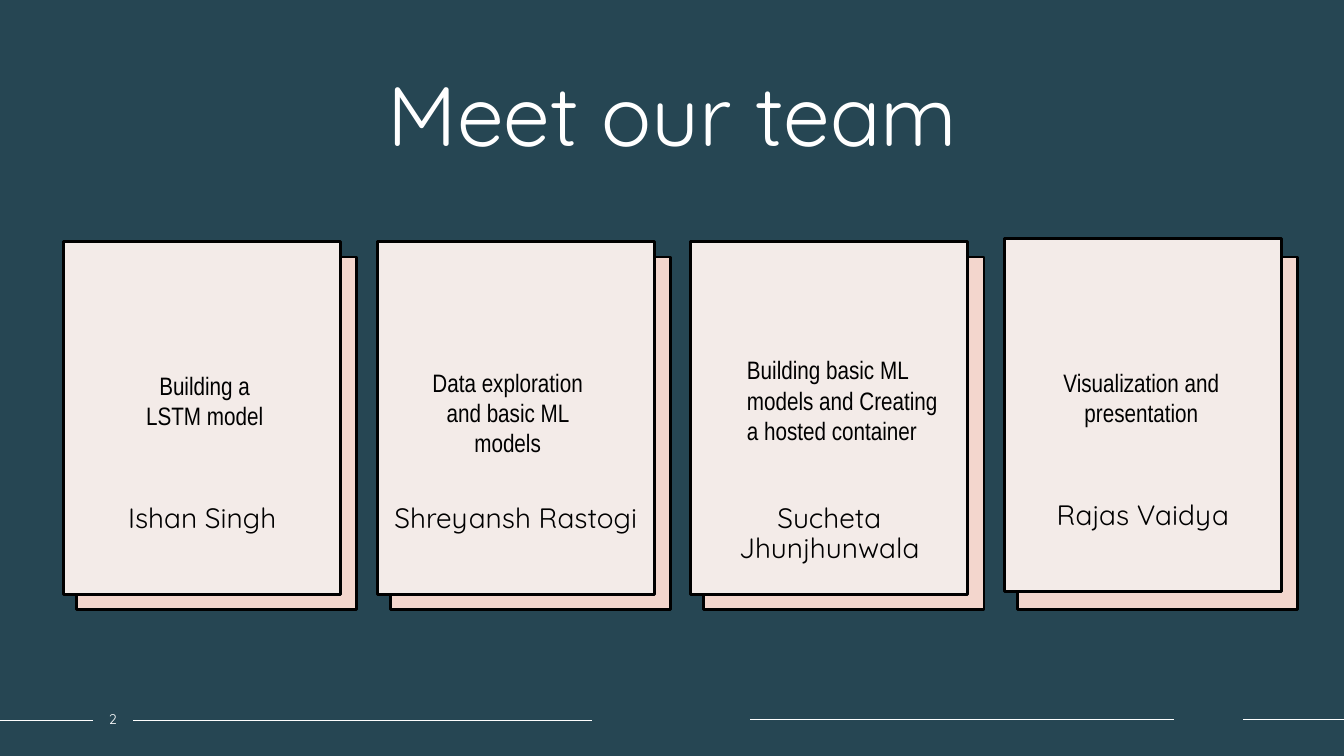
from dataclasses import dataclass

from pptx import Presentation
from pptx.dml.color import RGBColor
from pptx.enum.shapes import MSO_CONNECTOR, MSO_SHAPE
from pptx.enum.text import MSO_ANCHOR, PP_ALIGN
from pptx.oxml.ns import qn
from pptx.util import Inches, Pt
from lxml.etree import SubElement


@dataclass(frozen=True)
class Theme:
    backdrop: RGBColor = RGBColor.from_string("264653")
    card: RGBColor = RGBColor.from_string("F3EBE8")
    card_back: RGBColor = RGBColor.from_string("F3D6CD")
    ink: RGBColor = RGBColor.from_string("000000")
    light: RGBColor = RGBColor.from_string("FFFFFF")
    display_font: str = "Quicksand"
    role_font: str = "Arial Narrow"
    title_size: int = 60
    name_size: int = 20
    role_size: int = 18
    number_size: int = 10
    border: int = 2
    rule: int = 1


THEME = Theme()
CARD_PITCH = 3.11
FRONT_LEFT = 0.63
BACK_LEFT, BACK_TOP = 0.76, 2.55
CARD_HEIGHT = 3.5

TEAM = [
    ("Ishan Singh", 2.4, "Building a LSTM model", (1.25, 3.62, 1.56, 0.71), PP_ALIGN.CENTER),
    ("Shreyansh Rastogi", 2.4, "Data exploration and basic ML models", (4.18, 3.59, 1.71, 1.01), PP_ALIGN.CENTER),
    ("Sucheta Jhunjhunwala", 2.4, "Building basic ML models and Creating a hosted container", (7.31, 3.47, 2.09, 1.01), PP_ALIGN.LEFT),
    ("Rajas Vaidya", 2.37, "Visualization and presentation", (10.31, 3.59, 2.02, 0.71), PP_ALIGN.CENTER),
]
FOOTER_RULES = [(0, 0.92, 7.15), (1.32, 5.87, 7.15), (7.44, 11.64, 7.14), (12.33, 13.33, 7.14)]


def apply_format(target, values):
    for attribute, value in values.items():
        setattr(target, attribute, value)


def write_text(holder, text, font, size, color, frame_format=None, paragraph_format=None):
    frame = holder.text_frame
    apply_format(frame, {"word_wrap": True, "vertical_anchor": MSO_ANCHOR.TOP, **(frame_format or {})})
    paragraph = frame.paragraphs[0]
    apply_format(paragraph, {"alignment": PP_ALIGN.CENTER, **(paragraph_format or {})})
    run = paragraph.add_run()
    run.text = text
    apply_format(run.font, {"name": font, "size": Pt(size)})
    run.font.color.rgb = color


def add_label(slide, box, *text, **formats):
    label = slide.shapes.add_textbox(*map(Inches, box))
    write_text(label, *text, **formats)


def add_card(slide, box, color):
    card = slide.shapes.add_shape(MSO_SHAPE.RECTANGLE, *map(Inches, box))
    card.shadow.inherit = False
    card.fill.solid()
    card.fill.fore_color.rgb = color
    card.line.color.rgb = THEME.ink
    card.line.width = Pt(THEME.border)
    return card


def add_footer_rule(slide, start, end, height):
    rule = slide.shapes.add_connector(
        MSO_CONNECTOR.STRAIGHT, Inches(start), Inches(height), Inches(end), Inches(height)
    )
    rule.line.color.rgb = THEME.light
    rule.line.width = Pt(THEME.rule)
    SubElement(rule.element.spPr, qn("a:effectLst"))


def add_name_card(slide, name, left, top):
    card = add_card(slide, (left, top, 2.75, CARD_HEIGHT), THEME.card)
    write_text(
        card, name, THEME.display_font, THEME.name_size, THEME.ink,
        frame_format={"margin_top": Inches(2.6)},
        paragraph_format={"line_spacing": 0.9, "space_before": Pt(10)},
    )


def main():
    deck = Presentation()
    apply_format(deck, {"slide_width": Inches(13.33), "slide_height": Inches(7.5)})
    slide = deck.slides.add_slide(deck.slide_layouts[6])
    slide.background.fill.solid()
    slide.background.fill.fore_color.rgb = THEME.backdrop

    for position in range(len(TEAM)):
        left = BACK_LEFT + position * CARD_PITCH
        add_card(slide, (left, BACK_TOP, 2.78, CARD_HEIGHT), THEME.card_back)
    for start, end, height in FOOTER_RULES:
        add_footer_rule(slide, start, end, height)

    add_label(
        slide, (1.25, 0.56, 10.84, 1.11), "Meet our team",
        THEME.display_font, THEME.title_size, THEME.light,
        frame_format={"vertical_anchor": MSO_ANCHOR.MIDDLE},
    )
    for position, (name, top, role, role_box, alignment) in enumerate(TEAM):
        add_name_card(slide, name, FRONT_LEFT + position * CARD_PITCH, top)
        add_label(
            slide, role_box, role, THEME.role_font, THEME.role_size, THEME.ink,
            paragraph_format={"alignment": alignment},
        )
    add_label(
        slide, (0.92, 7, 0.4, 0.27), "2",
        THEME.display_font, THEME.number_size, THEME.light,
        frame_format={"vertical_anchor": MSO_ANCHOR.MIDDLE, "margin_left": 0, "margin_right": 0},
    )
    deck.save("out.pptx")


if __name__ == "__main__":
    main()
